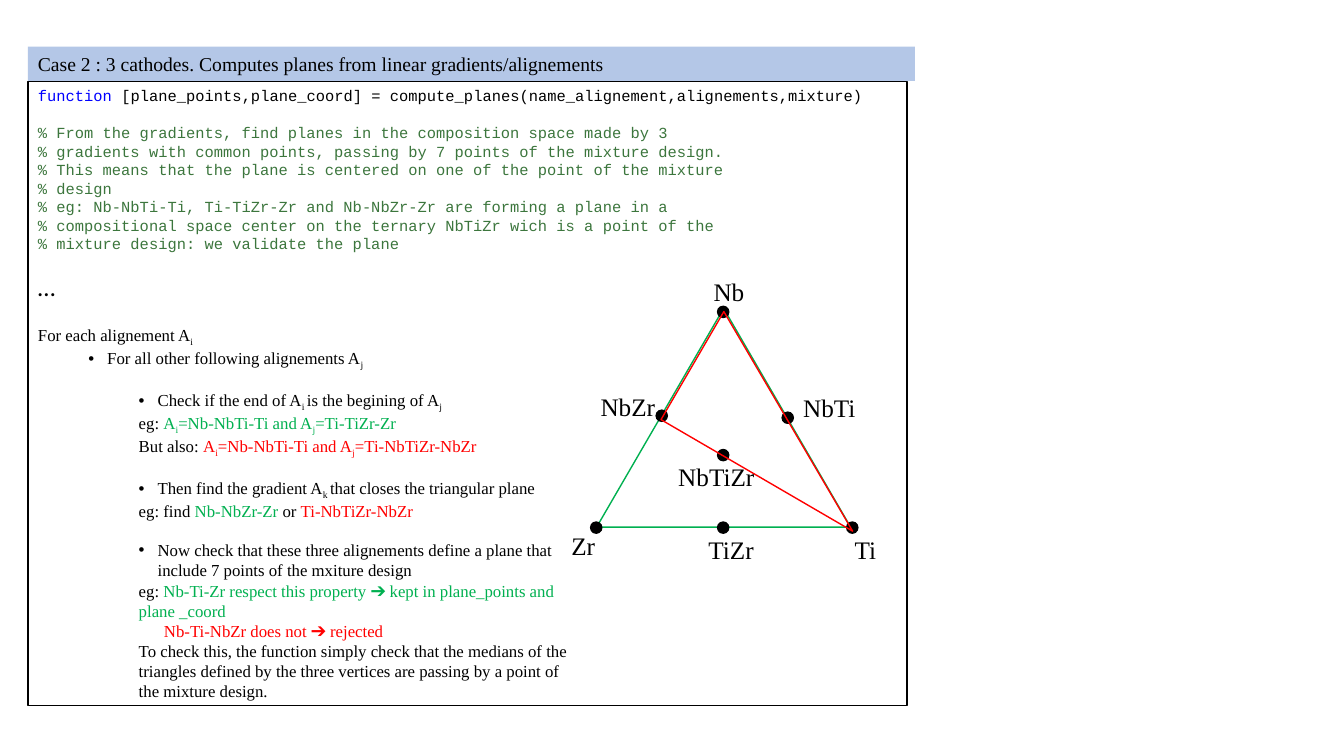
import pptx
import pptx.util
import pptx.dml.color
import pptx.enum.shapes
import pptx.enum.text
import lxml.etree

Pt = pptx.util.Pt
RGB = pptx.dml.color.RGBColor
SHAPE = pptx.enum.shapes.MSO_SHAPE

BLACK = RGB(0x00, 0x00, 0x00)
BAND = RGB(0xB4, 0xC7, 0xE7)
BLUE = RGB(0x00, 0x00, 0xFF)
OLIVE = RGB(0x3C, 0x76, 0x3D)
GREEN = RGB(0x00, 0xB0, 0x50)
RED = RGB(0xFF, 0x00, 0x00)
SERIF, MONO, SANS = "Times New Roman", "Courier New", "Calibri"

CODE = [
    [("function", BLUE),
     (" [plane_points,plane_coord] = compute_planes(name_alignement,alignements,mixture)", BLACK)],
    [("% From the gradients, find planes in the composition space made by 3", OLIVE)],
    [("% gradients with common points, passing by 7 points of the mixture design.", OLIVE)],
    [("% This means that the plane is centered on one of the point of the mixture", OLIVE)],
    [("% design", OLIVE)],
    [("% eg: Nb-NbTi-Ti, Ti-TiZr-Zr and Nb-NbZr-Zr are forming a plane in a", OLIVE)],
    [("% compositional space center on the ternary NbTiZr wich is a point of the", OLIVE)],
    [("% mixture design: we validate the plane", OLIVE)],
]

# Level, bullet, gap above, first-line indent, runs; ~ marks a subscript
STEPS = [
    (0, False, 0, 0, [("For each alignement A~i~", BLACK)]),
    (1, True, 0, 0, [("For all other following alignements A~j~", BLACK)]),
    (2, True, 13.8, 0, [("Check if the end of A~i ~is the begining of A~j~", BLACK)]),
    (2, False, 0, 0, [("eg: ", BLACK), ("A~i~=Nb-NbTi-Ti and A~j~=Ti-TiZr-Zr", GREEN)]),
    (2, False, 0, 0, [("But also: ", BLACK), ("A~i~=Nb-NbTi-Ti and A~j~=Ti-NbTiZr-NbZr", RED)]),
    (2, True, 13.8, 0, [("Then find the gradient A~k ~that closes the triangular plane", BLACK)]),
    (2, False, 0, 0, [("eg: find ", BLACK), ("Nb-NbZr-Zr", GREEN), (" or ", BLACK),
                      ("Ti-NbTiZr-NbZr", RED)]),
    (2, True, 13.8, 0, [("Now check that these three alignements define a plane that "
                         "include 7 points of the mxiture design", BLACK)]),
    (2, False, 0, 0, [("eg: ", BLACK), ("Nb-Ti-Zr respect this property ➔ kept in "
                                        "plane_points and plane _coord", GREEN)]),
    (2, False, 0, 18, [("Nb-Ti-NbZr does not ➔ rejected", RED)]),
    (2, False, 0, 0, [("To check this, the function simply check that the medians of the "
                       "triangles defined by the three vertices are passing by a point of "
                       "the mixture design.", BLACK)]),
]

# Name, dot centre, label corner and width, all from the triangle's corner
POINTS = [
    ("Nb", 90.4, 2.5, 76.4, -26.6, 42.5),
    ("Zr", -0.3, 156.6, -25.2, 154.8, 36),
    ("Ti", 182.6, 156.6, 177.2, 157.7, 36),
    ("NbTi", 136.5, 78.1, 140.4, 56.2, 59),
    ("NbZr", 46.5, 76.7, -4.3, 55.5, 59.8),
    ("TiZr", 90.4, 156.6, 72.8, 157.7, 50.4),
    ("NbTiZr", 90.4, 104.8, 51.2, 105.9, 89.3),
]
DOT = 8


def add_shape(slide, kind, box, fill=None, line=None):
    shape = slide.shapes.add_shape(kind, *map(Pt, box))
    shape.shadow.inherit = False
    if fill is None:
        shape.fill.background()
    else:
        shape.fill.solid()
        shape.fill.fore_color.rgb = fill
    if line is None:
        shape.line.fill.background()
    else:
        shape.line.color.rgb = line
        shape.line.width = Pt(1)
    return shape


def add_box(slide, box):
    frame = slide.shapes.add_textbox(*map(Pt, box)).text_frame
    frame.word_wrap = True
    return frame


def add_run(para, text, font, size, color):
    run = para.add_run()
    run.text = text
    run.font.name = font
    run.font.size = Pt(size)
    run.font.color.rgb = color
    return run


def next_para(frame, first):
    return frame.paragraphs[0] if first else frame.add_paragraph()


def add_head(slide, box):
    frame = add_shape(slide, SHAPE.RECTANGLE, box, BAND).text_frame
    frame.word_wrap = True
    frame.vertical_anchor = pptx.enum.text.MSO_ANCHOR.MIDDLE
    para = frame.paragraphs[0]
    para.alignment = pptx.enum.text.PP_ALIGN.LEFT
    add_run(para, "Case 2 : 3 cathodes. Computes planes from linear gradients/alignements",
            SERIF, 14, BLACK)


def add_code(slide, box):
    frame = add_box(slide, box)
    for row, runs in enumerate(CODE):
        para = next_para(frame, row == 0)
        if row == 1:
            para.space_before = Pt(13.2)
        for text, color in runs:
            add_run(para, text, MONO, 11, color)
    para = frame.add_paragraph()
    para.space_before = Pt(13.2)
    add_run(para, "…", SANS, 18, BLACK)


def set_indent(para, level, bullet, first):
    props = para._p.get_or_add_pPr()
    hang = 13.5 if bullet else 0
    props.set("marL", str(int(Pt(36 * level + hang))))
    props.set("indent", str(int(Pt(first - hang))))
    if bullet:
        tag = "{http://schemas.openxmlformats.org/drawingml/2006/main}"
        lxml.etree.SubElement(props, tag + "buFont", typeface="Arial")
        lxml.etree.SubElement(props, tag + "buChar", char="•")


def add_steps(slide, box):
    frame = add_box(slide, box)
    for row, (level, bullet, gap, first, runs) in enumerate(STEPS):
        para = next_para(frame, row == 0)
        para.level = level
        set_indent(para, level, bullet, first)
        if gap:
            para.space_before = Pt(gap)
        for text, color in runs:
            for part, piece in enumerate(text.split("~")):
                if piece:
                    run = add_run(para, piece, SERIF, 12, color)
                    if part % 2:
                        run.font._element.set("baseline", "-25000")


def add_graph(slide, box):
    left, top = box[:2]
    add_shape(slide, SHAPE.ISOSCELES_TRIANGLE, box, line=GREEN)
    # Mixture points
    for name, x, y, *label in POINTS:
        add_shape(slide, SHAPE.OVAL, (left + x - DOT / 2, top + y - DOT / 2, DOT, DOT),
                  BLACK, BLACK)
    # Rejected plane
    plane = add_shape(slide, SHAPE.RIGHT_TRIANGLE, (left + 92.2, top + 1.5, 89.3, 158.4),
                      line=RED)
    plane.rotation = 300.2
    plane._element.spPr.xfrm.set("flipV", "1")
    # Point names
    for name, x, y, across, down, width in POINTS:
        frame = add_box(slide, (left + across, top + down, width, 29))
        add_run(frame.paragraphs[0], name, SERIF, 18, BLACK)


def main():
    deck = pptx.Presentation()
    deck.slide_width, deck.slide_height = Pt(960), Pt(540)
    slide = deck.slides.add_slide(deck.slide_layouts[6])
    add_head(slide, (20, 33.4, 633.6, 24.5))
    add_code(slide, (20, 58.3, 628, 163))
    add_shape(slide, SHAPE.RECTANGLE, (20, 58.3, 628, 445.7), line=BLACK)
    add_steps(slide, (20, 228.2, 394.6, 283.7))
    add_graph(slide, (426.2, 220.3, 181.4, 156.2))
    deck.save("out.pptx")


if __name__ == "__main__":
    main()
